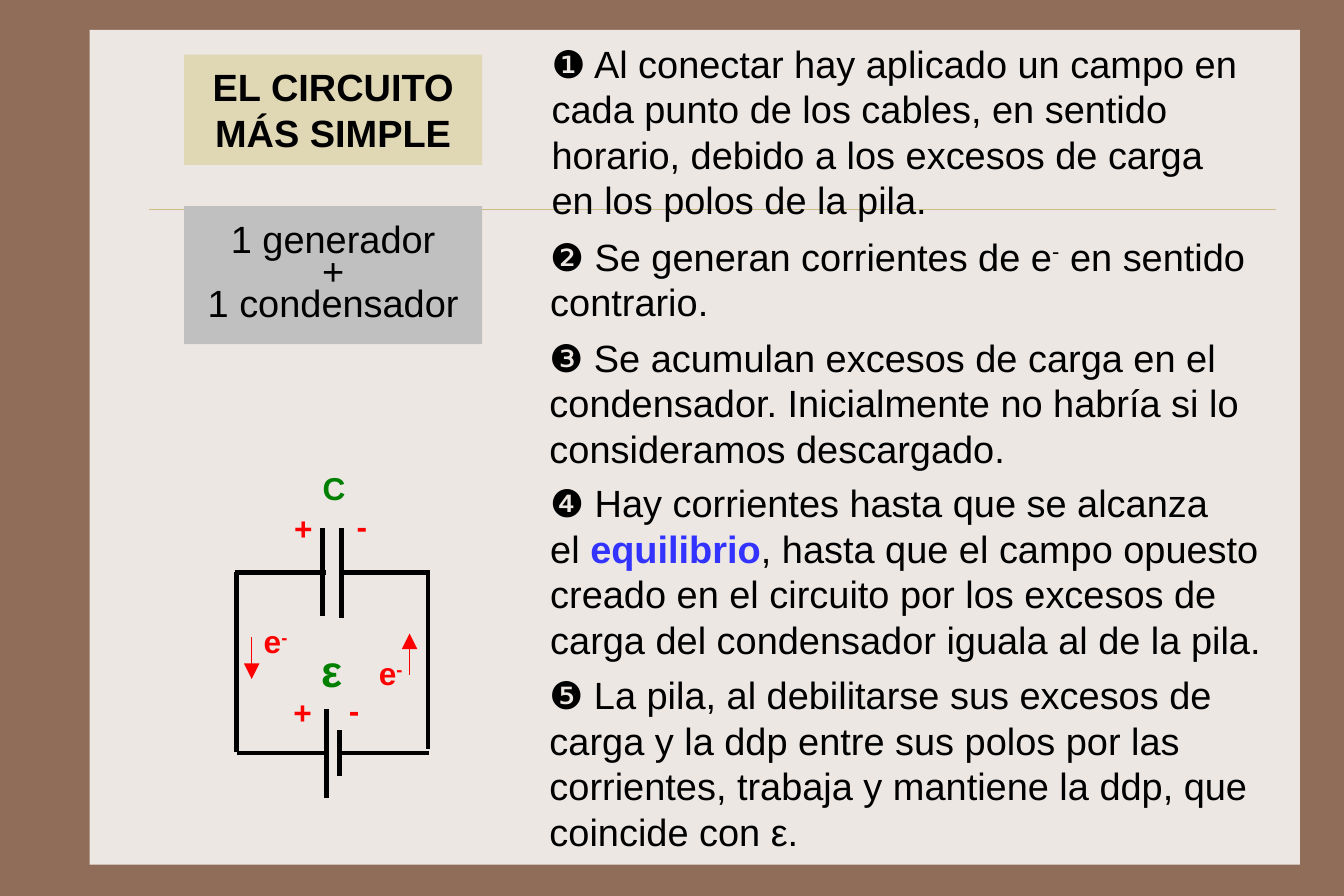
from pptx import Presentation
from pptx.dml.color import RGBColor
from pptx.enum.shapes import MSO_CONNECTOR, MSO_SHAPE
from pptx.enum.text import MSO_ANCHOR, MSO_AUTO_SIZE, PP_ALIGN
from pptx.oxml.ns import qn
from pptx.util import Pt
from lxml.etree import SubElement

PX = 5715
BROWN = RGBColor(0x90, 0x6D, 0x58)
CREAM = RGBColor(0xED, 0xE7, 0xE3)
RULE = RGBColor(0xCB, 0xBD, 0x83)
SAND = RGBColor(0xE0, 0xD7, 0xB5)
GRAY = RGBColor(0xC0, 0xC0, 0xC0)
BLACK = RGBColor(0, 0, 0)
GREEN = RGBColor(0, 0x80, 0)
RED = RGBColor(0xFF, 0, 0)
BLUE = RGBColor(0x33, 0x33, 0xFF)

prs = Presentation()
prs.slide_width, prs.slide_height = 1890 * PX, 1260 * PX
s = prs.slides.add_slide(prs.slide_layouts[5])
s.background.fill.solid()
s.background.fill.fore_color.rgb = BROWN


def add_line(x1, y1, x2, y2, color, width, arrow=False):
    line = s.shapes.add_connector(
        MSO_CONNECTOR.STRAIGHT, x1 * PX, y1 * PX, x2 * PX, y2 * PX)
    line.line.color.rgb = color
    line.line.width = Pt(width)
    sp_pr = line._element.spPr
    if arrow:
        SubElement(sp_pr.find(qn("a:ln")), qn("a:tailEnd"),
                   type="triangle", w="lg", len="lg")
    SubElement(sp_pr, qn("a:effectLst"))


def write(sp, paragraphs, size, color=BLACK, bold=False, margins=(16, 14, 16, 14),
          wrap=True, anchor=MSO_ANCHOR.TOP, **spacing):
    tf = sp.text_frame
    left, top, right, bottom = (m * PX for m in margins)
    frame = dict(margin_left=left, margin_top=top, margin_right=right,
                 margin_bottom=bottom, word_wrap=wrap, vertical_anchor=anchor,
                 auto_size=MSO_AUTO_SIZE.NONE)
    for name, value in frame.items():
        setattr(tf, name, value)
    for i, runs in enumerate(paragraphs):
        p = tf.add_paragraph() if i else tf.paragraphs[0]
        for name, value in spacing.items():
            setattr(p, name, value)
        for text, style in runs:
            if text == "\n":
                p.add_line_break()
                continue
            r = p.add_run()
            r.text = text
            fmt = dict(name="Arial", size=Pt(size), bold=bold or style == "key")
            for name, value in fmt.items():
                setattr(r.font, name, value)
            r.font.color.rgb = BLUE if style == "key" else color
            if style == "super":
                r.font._element.set("baseline", "30000")


panel, generator_box = [
    s.shapes.add_shape(MSO_SHAPE.RECTANGLE, *(v * PX for v in at))
    for at in ((126, 42, 1702, 1174), (259, 290, 419, 194))]
for sp, color in ((panel, CREAM), (generator_box, GRAY)):
    sp.shadow.inherit = False
    sp.fill.solid()
    sp.fill.fore_color.rgb = color
    sp.line.fill.background()
add_line(210, 294, 1795, 294, RULE, 0.25)

title = s.shapes.title
title.left, title.top, title.width, title.height = (v * PX for v in (259, 77, 419, 155))
title.fill.solid()
title.fill.fore_color.rgb = SAND
for sp in (title, generator_box):
    s.shapes._spTree.append(sp._element)
write(title, [[("EL CIRCUITO MÁS SIMPLE", "")]], 24, bold=True,
      margins=(19, 13, 19, 13), alignment=PP_ALIGN.CENTER)
write(generator_box, [[(t, "")] for t in ("1 generador", "+", "1 condensador")], 24,
      margins=(26, 32, 26, 26), anchor=MSO_ANCHOR.MIDDLE,
      alignment=PP_ALIGN.CENTER, line_spacing=Pt(20))

wires = [
    (333, 805, 333, 1058), (602, 803, 602, 1054),
    (459, 997, 459, 1122), (477, 1027, 477, 1091),
    (603, 1059, 477, 1059), (459, 1059, 333, 1059),
    (454, 742, 454, 867), (480, 742, 480, 869),
    (605, 805, 478, 805), (458, 805, 331, 805)]
for wire in wires:
    add_line(*wire, BLACK, 3)
for arrow in ((354, 896, 354, 955), (576, 949, 576, 891)):
    add_line(*arrow, RED, 1, arrow=True)

electron = [("e", ""), ("-", "super")]
labels = [
    (437, 890, 59, 104, [("ε", "")], 28, GREEN),
    (438, 646, 64, 82, [("C", "")], 20, GREEN),
    (397, 960, 58, 82, [("+", "")], 20, RED),
    (475, 957, 46, 82, [("-", "")], 20, RED),
    (398, 702, 58, 82, [("+", "")], 20, RED),
    (486, 699, 46, 82, [("-", "")], 20, RED),
    (355, 861, 70, 82, electron, 20, RED),
    (517, 906, 66, 82, electron, 20, RED)]
for x, y, w, h, runs, size, color in labels:
    box = s.shapes.add_textbox(x * PX, y * PX, w * PX, h * PX)
    write(box, [runs], size, color, bold=True, wrap=False)

steps = [
    (760, 43, 1032, 288, [
        [("❶ Al conectar hay aplicado un campo en cada punto de los cables, "
          "en sentido horario, debido a los excesos de carga", "")],
        [("en los polos de la pila.", "")]]),
    (758, 314, 1032, 158, [
        [("❷ Se generan corrientes de e", ""), ("-", "super"),
         (" en sentido contrario.", "")]]),
    (757, 456, 1032, 222, [
        [("❸ Se acumulan excesos de carga en el condensador. Inicialmente no "
          "habría si lo consideramos descargado.", "")]]),
    (758, 661, 1050, 288, [
        [("❹ Hay corrientes hasta que se alcanza", ""), ("\n", ""), ("el ", ""),
         ("equilibrio", "key"),
         (", hasta que el campo opuesto creado en el circuito por los excesos "
          "de carga del condensador iguala al de la pila.", "")]]),
    (757, 931, 1032, 288, [
        [("❺ La pila, al debilitarse sus excesos de carga y la ddp entre sus "
          "polos por las corrientes, trabaja y mantiene la ddp, que coincide "
          "con ε.", "")]])]
for x, y, w, h, paragraphs in steps:
    box = s.shapes.add_textbox(x * PX, y * PX, w * PX, h * PX)
    write(box, paragraphs, 24)

prs.save("out.pptx")
